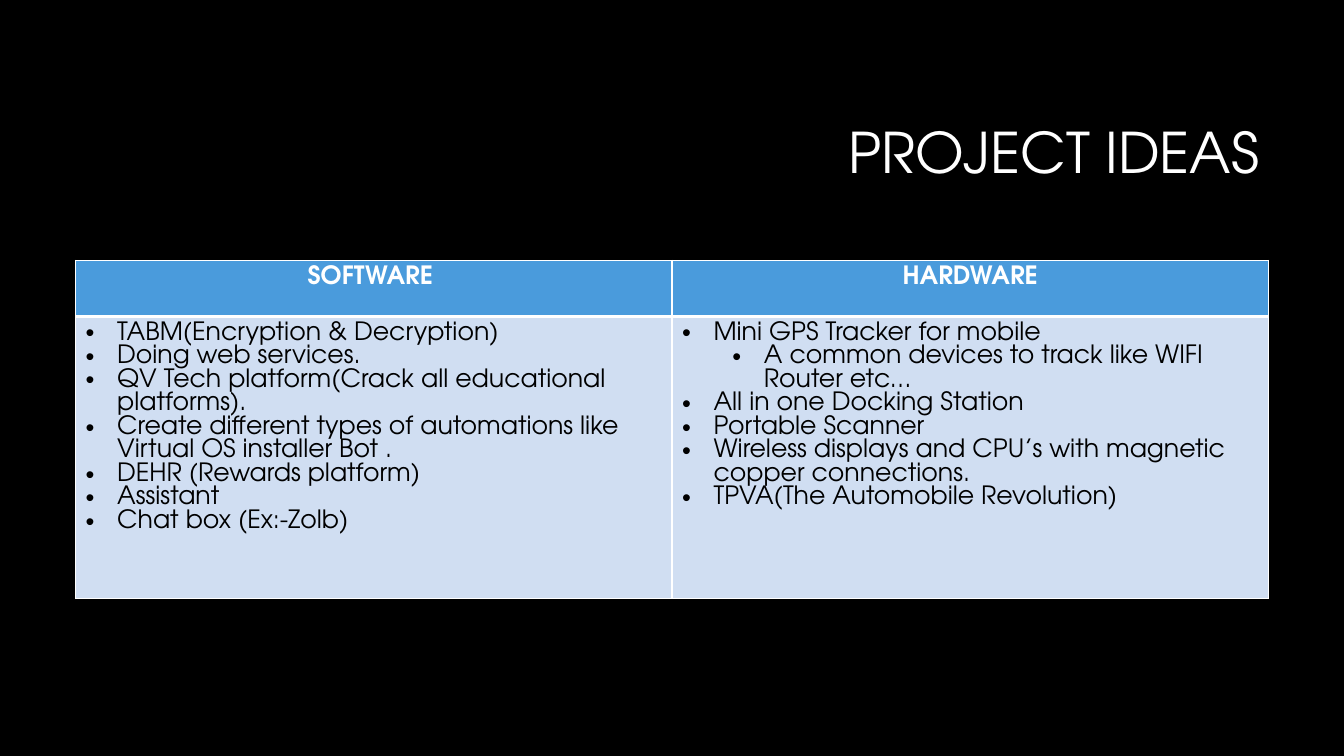
from dataclasses import dataclass

from lxml import etree
from pptx import Presentation
from pptx import util as u
from pptx.dml import color
from pptx.enum import text
from pptx.oxml import ns


@dataclass(frozen=True)
class Theme:
    """Colours, font and type sizes of the slide."""
    background: str = "000000"
    light: str = "FFFFFF"
    dark: str = "000000"
    header: str = "4A9BDC"
    body: str = "D0DEF2"
    font: str = "TeX Gyre Adventor"
    title_size: int = 40
    table_size: int = 18


THEME = Theme()
IDEAS = {
    "SOFTWARE ": [
        (0, "TABM(Encryption & Decryption)"),
        (0, "Doing web services."),
        (0, "QV Tech platform(Crack all educational platforms)."),
        (0, "Create different types of automations like Virtual OS installer Bot ."),
        (0, "DEHR (Rewards platform)"),
        (0, "Assistant"),
        (0, "Chat box (Ex:-Zolb)"),
    ],
    "HARDWARE": [
        (0, "Mini GPS Tracker for mobile"),
        (1, "A common devices to track like WIFI Router etc… "),
        (0, "All in one Docking Station"),
        (0, "Portable Scanner"),
        (0, "Wireless displays and CPU’s with magnetic copper connections."),
        (0, "TPVA(The Automobile Revolution)"),
    ],
}


def rgb(value):
    """Turn a hex string into a colour."""
    return color.RGBColor.from_string(value)


def style(paragraph, size, colour, alignment, bold=False):
    """Set the font and alignment of a paragraph."""
    paragraph.alignment = alignment
    font = paragraph.font
    font.name, font.size, font.bold = THEME.font, u.Pt(size), bold
    font.color.rgb = rgb(colour)


def add_bullet(paragraph, level):
    """Give a paragraph a hanging bullet for its level."""
    paragraph.level = level
    properties = paragraph._p.get_or_add_pPr()
    properties.set("marL", str(u.Pt(22.5 + 36 * level)))
    properties.set("indent", str(u.Pt(-22.5)))
    bullet_font = etree.Element(ns.qn("a:buFont"), typeface="Arial")
    bullet = etree.Element(ns.qn("a:buChar"), char="•")
    defaults = properties.find(ns.qn("a:defRPr"))
    defaults.addprevious(bullet_font)
    defaults.addprevious(bullet)


def format_cell(cell, fill, bottom_width):
    """Fill a cell and draw its white borders."""
    properties = cell._tc.get_or_add_tcPr()
    for side, width in zip("LRTB", (1, 1, 1, bottom_width)):
        line = etree.SubElement(properties, ns.qn(f"a:ln{side}"), w=str(u.Pt(width)))
        solid = etree.SubElement(line, ns.qn("a:solidFill"))
        etree.SubElement(solid, ns.qn("a:srgbClr"), val=THEME.light)
    cell.fill.solid()
    cell.fill.fore_color.rgb = rgb(fill)


def add_title(slide, left, top, width, height):
    """Place the right-aligned title in its box."""
    frame = slide.shapes.add_textbox(*map(u.Pt, (left, top, width, height))).text_frame
    frame.word_wrap = True
    frame.vertical_anchor = text.MSO_ANCHOR.MIDDLE
    paragraph = frame.paragraphs[0]
    paragraph.text = "PROJECT IDEAS"
    paragraph.line_spacing = 0.9
    style(paragraph, THEME.title_size, THEME.light, text.PP_ALIGN.RIGHT)


def add_ideas(slide, left, top, width, height, header_height=40):
    """Place the table of ideas, one column for each kind."""
    box = map(u.Pt, (left, top, width, height))
    table = slide.shapes.add_table(2, len(IDEAS), *box).table
    table.rows[0].height = u.Pt(header_height)
    table.rows[1].height = u.Pt(height - header_height)
    for index, (heading, ideas) in enumerate(IDEAS.items()):
        table.columns[index].width = u.Pt(width / len(IDEAS))
        header, body = table.cell(0, index), table.cell(1, index)
        format_cell(header, THEME.header, 3)
        format_cell(body, THEME.body, 1)
        header.text = heading
        style(header.text_frame.paragraphs[0], THEME.table_size, THEME.light,
              text.PP_ALIGN.CENTER, bold=True)
        body.text = "\n".join(idea for _, idea in ideas)
        for paragraph, (level, _) in zip(body.text_frame.paragraphs, ideas):
            style(paragraph, THEME.table_size, THEME.dark, text.PP_ALIGN.LEFT)
            add_bullet(paragraph, level)


def main():
    """Build the slide and save it."""
    presentation = Presentation()
    presentation.slide_width, presentation.slide_height = u.Pt(960), u.Pt(540)
    slide = presentation.slides.add_slide(presentation.slide_layouts[6])
    slide.background.fill.solid()
    slide.background.fill.fore_color.rgb = rgb(THEME.background)
    add_title(slide, 228, 60.5, 678.5, 101.5)
    add_ideas(slide, 54, 186, 852, 198)
    presentation.save("out.pptx")


main()
